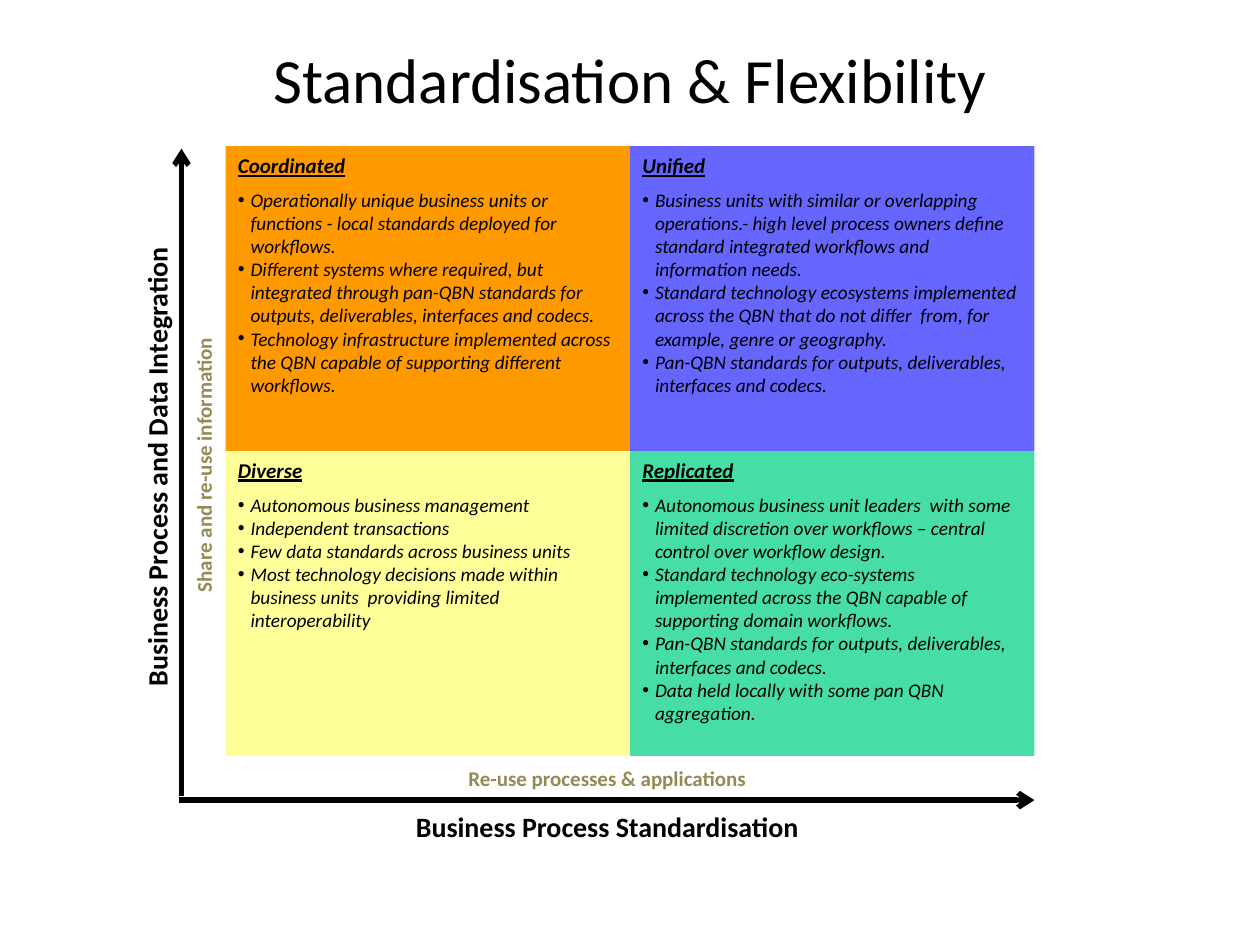
from lxml.etree import SubElement
from pptx import Presentation
from pptx.dml.color import RGBColor
from pptx.enum.shapes import MSO_CONNECTOR, MSO_SHAPE
from pptx.enum.text import MSO_ANCHOR, MSO_AUTO_SIZE, PP_ALIGN
from pptx.oxml.ns import qn
from pptx.util import Inches, Pt

TITLE = "Standardisation & Flexibility"

# Rows run from top to bottom, columns from left to right.
QUADRANTS = [
    [
        ("Coordinated", "orange", [
            "Operationally unique business units or functions - local standards deployed for workflows.",
            "Different systems where required, but integrated through pan-QBN standards for outputs, "
            "deliverables, interfaces and codecs.",
            "Technology infrastructure implemented across the QBN capable of supporting different workflows.",
        ]),
        ("Unified", "blue", [
            "Business units with similar or overlapping operations.- high level process owners define "
            "standard integrated workflows and information needs.",
            "Standard technology ecosystems implemented across the QBN that do not differ  from, "
            "for example, genre or geography.",
            "Pan-QBN standards for outputs, deliverables, interfaces and codecs.",
        ]),
    ],
    [
        ("Diverse", "yellow", [
            "Autonomous business management",
            "Independent transactions",
            "Few data standards across business units",
            "Most technology decisions made within business units  providing limited interoperability",
        ]),
        ("Replicated", "green", [
            "Autonomous business unit leaders  with some limited discretion over workflows \u2013 "
            "central control over workflow design.",
            "Standard technology eco-systems  implemented across the QBN capable of supporting domain workflows.",
            "Pan-QBN standards for outputs, deliverables, interfaces and codecs.",
            "Data held locally with some pan QBN aggregation.",
        ]),
    ],
]

# Text, format, (left, top, width, height), rotation
AXIS_LABELS = [
    ("Business Process Standardisation", "axis", (1.42, 6.38, 6.8, 0.37), 0),
    ("Re-use processes & applications", "benefit", (1.42, 6.03, 6.8, 0.3), 0),
    ("Business Process and Data Integration", "axis", (-1.59, 3.52, 5.67, 0.37), 270),
    ("Share and re-use information", "benefit", (-1.24, 3.54, 5.71, 0.3), 270),
]
AXES = [(1.42, 6.35, 8.21, 6.35), (1.44, 6.32, 1.44, 1.18)]

GRID_LEFT, GRID_TOP = 1.79, 1.16
CELL_WIDTH, CELL_HEIGHT = 3.21, 2.42
BULLET_INDENT = Inches(0.1)

THEME = {
    "colours": {
        "black": "000000", "olive": "948A54", "orange": "FF9900",
        "blue": "6666FF", "yellow": "FFFF99", "green": "47DDA7",
    },
    "formats": {
        "title": {"size": Pt(36)},
        "heading": {"size": Pt(12), "bold": True, "italic": True, "underline": True},
        "bullet": {"size": Pt(11), "italic": True},
        "axis": {"size": Pt(16), "bold": True},
        "benefit": {"size": Pt(12), "bold": True},
    },
    "font": "Calibri",
    "axis_width": Pt(3),
}


def colour(name):
    """Return a theme colour."""
    return RGBColor.from_string(THEME["colours"][name])


def write(paragraph, text, format_name, alignment=PP_ALIGN.LEFT):
    """Put one formatted run in a paragraph."""
    paragraph.alignment = alignment
    font = paragraph.add_run().font
    paragraph.runs[0].text = text
    font.name = THEME["font"]
    font.color.rgb = colour("olive" if format_name == "benefit" else "black")
    for attribute, value in THEME["formats"][format_name].items():
        setattr(font, attribute, value)


def add_bullet(paragraph):
    """Give a paragraph a hanging bullet."""
    properties = paragraph._p.get_or_add_pPr()
    properties.set("marL", str(BULLET_INDENT))
    properties.set("indent", str(-BULLET_INDENT))
    SubElement(properties, qn("a:buFont"), typeface="Arial")
    SubElement(properties, qn("a:buChar"), char="\u2022")


def add_quadrant(slide, row, column, heading, fill, bullets):
    """Add one coloured cell of the matrix with its heading and bullets."""
    left, top = GRID_LEFT + column * CELL_WIDTH, GRID_TOP + row * CELL_HEIGHT
    box = (left, top, CELL_WIDTH, CELL_HEIGHT)
    shape = slide.shapes.add_shape(MSO_SHAPE.RECTANGLE, *map(Inches, box))
    shape.shadow.inherit = False
    shape.fill.solid()
    shape.fill.fore_color.rgb = colour(fill)
    shape.line.fill.background()
    frame = shape.text_frame
    frame.word_wrap = True
    frame.vertical_anchor = MSO_ANCHOR.TOP
    write(frame.paragraphs[0], heading, "heading")
    frame.paragraphs[0].space_after = Pt(6)
    for text in bullets:
        paragraph = frame.add_paragraph()
        write(paragraph, text, "bullet")
        add_bullet(paragraph)


def add_axis(slide, ends):
    """Add one axis line with an arrowhead at its far end."""
    connector = slide.shapes.add_connector(MSO_CONNECTOR.STRAIGHT, *map(Inches, ends))
    connector.line.color.rgb = colour("black")
    connector.line.width = THEME["axis_width"]
    SubElement(connector.line._get_or_add_ln(), qn("a:tailEnd"), type="arrow")
    SubElement(connector._element.spPr, qn("a:effectLst"))


def add_label(slide, text, format_name, box, rotation):
    """Add a centred label beside an axis."""
    label = slide.shapes.add_textbox(*map(Inches, box))
    label.rotation = rotation
    label.text_frame.word_wrap = True
    label.text_frame.auto_size = MSO_AUTO_SIZE.SHAPE_TO_FIT_TEXT
    write(label.text_frame.paragraphs[0], text, format_name, PP_ALIGN.CENTER)


def add_title(slide):
    """Place and format the title placeholder."""
    title = slide.shapes.title
    title.left, title.top, title.width, title.height = map(Inches, (0.5, 0, 9, 1.25))
    title.text_frame.vertical_anchor = MSO_ANCHOR.MIDDLE
    write(title.text_frame.paragraphs[0], TITLE, "title", PP_ALIGN.CENTER)


def main():
    """Build and save the slide."""
    presentation = Presentation()
    presentation.slide_width, presentation.slide_height = Inches(10), Inches(7.5)
    slide = presentation.slides.add_slide(presentation.slide_layouts[5])
    add_title(slide)
    for row, cells in enumerate(QUADRANTS):
        for column, cell in enumerate(cells):
            add_quadrant(slide, row, column, *cell)
    for ends in AXES:
        add_axis(slide, ends)
    for label in AXIS_LABELS:
        add_label(slide, *label)
    presentation.save("out.pptx")


main()
